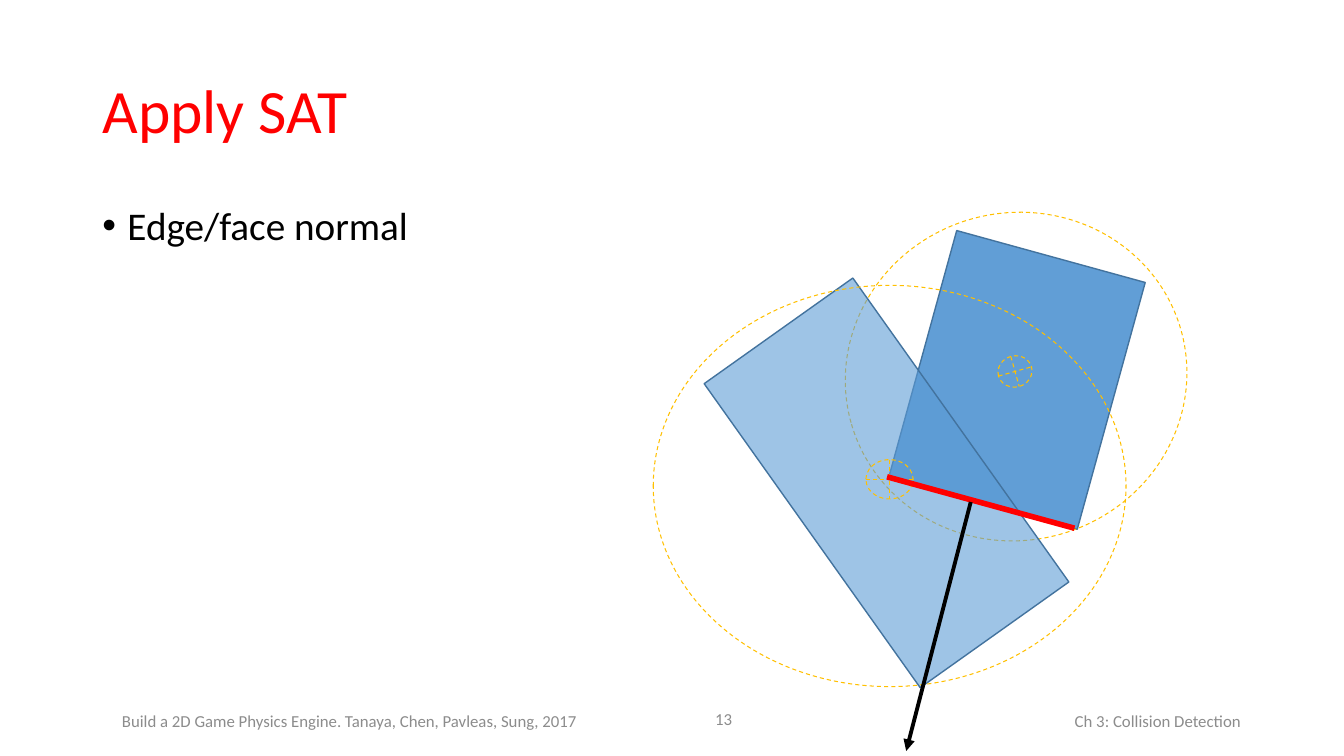
from dataclasses import dataclass

from lxml.etree import SubElement
from pptx import Presentation
from pptx.dml.color import RGBColor
from pptx.enum.dml import MSO_LINE
from pptx.enum.shapes import MSO_CONNECTOR, MSO_SHAPE
from pptx.enum.text import MSO_ANCHOR, PP_ALIGN
from pptx.oxml.ns import qn
from pptx.util import Pt


@dataclass(frozen=True)
class Theme:
    """Colours, type sizes and font of the slide."""
    font: str = "Calibri"
    title: str = "FF0000"
    text: str = "000000"
    footer: str = "8C8C8C"
    box: str = "5B9BD5"
    box_edge: str = "43739E"
    bound: str = "FFC000"
    edge: str = "FF0000"
    normal: str = "000000"
    title_size: int = 44
    body_size: int = 28
    footer_size: int = 12


THEME = Theme()


def place(shape, box):
    """Move and size a shape to a box in points."""
    for name, value in zip(("left", "top", "width", "height"), box):
        setattr(shape, name, Pt(value))


def write(shape, text, size, color, anchor=MSO_ANCHOR.MIDDLE, **formats):
    """Write one formatted paragraph and return it."""
    tf = shape.text_frame
    for name, value in {"word_wrap": True, "vertical_anchor": anchor}.items():
        setattr(tf, name, value)
    p = tf.paragraphs[0]
    for name, value in formats.items():
        setattr(p, name, value)
    r = p.add_run()
    r.text = text
    for name, value in {"name": THEME.font, "size": Pt(size)}.items():
        setattr(r.font, name, value)
    r.font.color.rgb = RGBColor.from_string(color)
    return p


def add_title(s, box, text):
    """Fill the title placeholder."""
    place(s.shapes.title, box)
    write(s.shapes.title, text, THEME.title_size, THEME.title,
          alignment=PP_ALIGN.LEFT, line_spacing=0.9)


def add_bullet(s, box, text):
    """Add the body text with its bullet."""
    sp = s.shapes.add_textbox(*map(Pt, box))
    p = write(sp, text, THEME.body_size, THEME.text, MSO_ANCHOR.TOP, line_spacing=0.9)
    pPr = p._p.get_or_add_pPr()
    for name, indent in {"marL": Pt(18), "indent": Pt(-18)}.items():
        pPr.set(name, str(indent))
    SubElement(pPr, qn("a:buFont"), typeface="Arial")
    SubElement(pPr, qn("a:buChar"), char="•")


def add_footer(s, box):
    """Add the book, page number and chapter along the bottom."""
    x, y, w, h = box
    parts = (
        ("Build a 2D Game Physics Engine. Tanaya, Chen, Pavleas, Sung, 2017",
         0, 0, 364, PP_ALIGN.LEFT),
        ("13", 364, -1.5, 86, PP_ALIGN.RIGHT),
        ("Ch 3: Collision Detection", w - 346, 0, 346, PP_ALIGN.RIGHT),
    )
    for text, dx, dy, width, align in parts:
        sp = s.shapes.add_textbox(Pt(x + dx), Pt(y + dy), Pt(width), Pt(h))
        write(sp, text, THEME.footer_size, THEME.footer, alignment=align)


def add_outline(group, kind, box, color, width, rotation):
    """Add an unfilled, outlined shape to a group."""
    sp = group.shapes.add_shape(kind, *map(Pt, box))
    sp.shadow.inherit = False
    sp.rotation = rotation
    sp.fill.background()
    sp.line.color.rgb = RGBColor.from_string(color)
    sp.line.width = Pt(width)
    return sp


def add_rigid_body(s, origin, rect, turn, alpha, bound, center, bound_turn):
    """Add a rectangle with its bounding circle and centre mark."""
    x, y = origin
    group = s.shapes.add_group_shape()
    rect, bound, center = ((x + dx, y + dy, w, h) for dx, dy, w, h in (rect, bound, center))
    sp = add_outline(group, MSO_SHAPE.RECTANGLE, rect, THEME.box_edge, 1, turn)
    sp.fill.solid()
    sp.fill.fore_color.rgb = RGBColor.from_string(THEME.box)
    fill = sp._element.spPr.find(qn("a:solidFill"))
    SubElement(fill[0], qn("a:alpha"), val=str(alpha * 1000))
    for kind, box in ((MSO_SHAPE.OVAL, bound), (MSO_SHAPE.FLOWCHART_OR, center)):
        sp = add_outline(group, kind, box, THEME.bound, 0.75, bound_turn)
        sp.line.dash_style = MSO_LINE.DASH


def add_line(s, origin, start, end, color, width, arrow=False):
    """Add a straight line, with an arrowhead if asked."""
    x, y = origin
    c = s.shapes.add_connector(MSO_CONNECTOR.STRAIGHT, Pt(x + start[0]), Pt(y + start[1]),
                               Pt(x + end[0]), Pt(y + end[1]))
    c.line.color.rgb = RGBColor.from_string(color)
    c.line.width = Pt(width)
    if arrow:
        SubElement(c.line._get_or_add_ln(), qn("a:tailEnd"), type="triangle")
    SubElement(c._element.spPr, qn("a:effectLst"))


def add_diagram(s, origin):
    """Add two overlapping bodies, the tested edge and its normal."""
    add_rigid_body(s, origin, (190.6, 29, 139.7, 182.9), 15.4, 96,
                   (137.4, 1, 244.8, 234), (246.8, 103.2, 24.5, 22.3), 344.4)
    add_rigid_body(s, origin, (102.1, 60.7, 130.3, 266.4), 324.6, 59,
                   (0.6, 52.8, 337.7, 286.6), (152.5, 177.3, 33.8, 28.1), 0)
    add_line(s, origin, (167.6, 189.6), (301.5, 226.3), THEME.edge, 4)
    add_line(s, origin, (227.4, 207.6), (181.3, 385.4), THEME.normal, 2.75, arrow=True)


def main():
    """Build and save the slide."""
    prs = Presentation()
    prs.slide_width, prs.slide_height = Pt(960), Pt(540)
    s = prs.slides.add_slide(prs.slide_layouts[5])
    add_footer(s, (80, 500.5, 813.5, 28.8))
    add_title(s, (66, 28.8, 828, 104.4), "Apply SAT")
    add_bullet(s, (66, 144, 828, 342.7), "Edge/face normal")
    add_diagram(s, (466, 151))
    prs.save("out.pptx")


if __name__ == "__main__":
    main()
